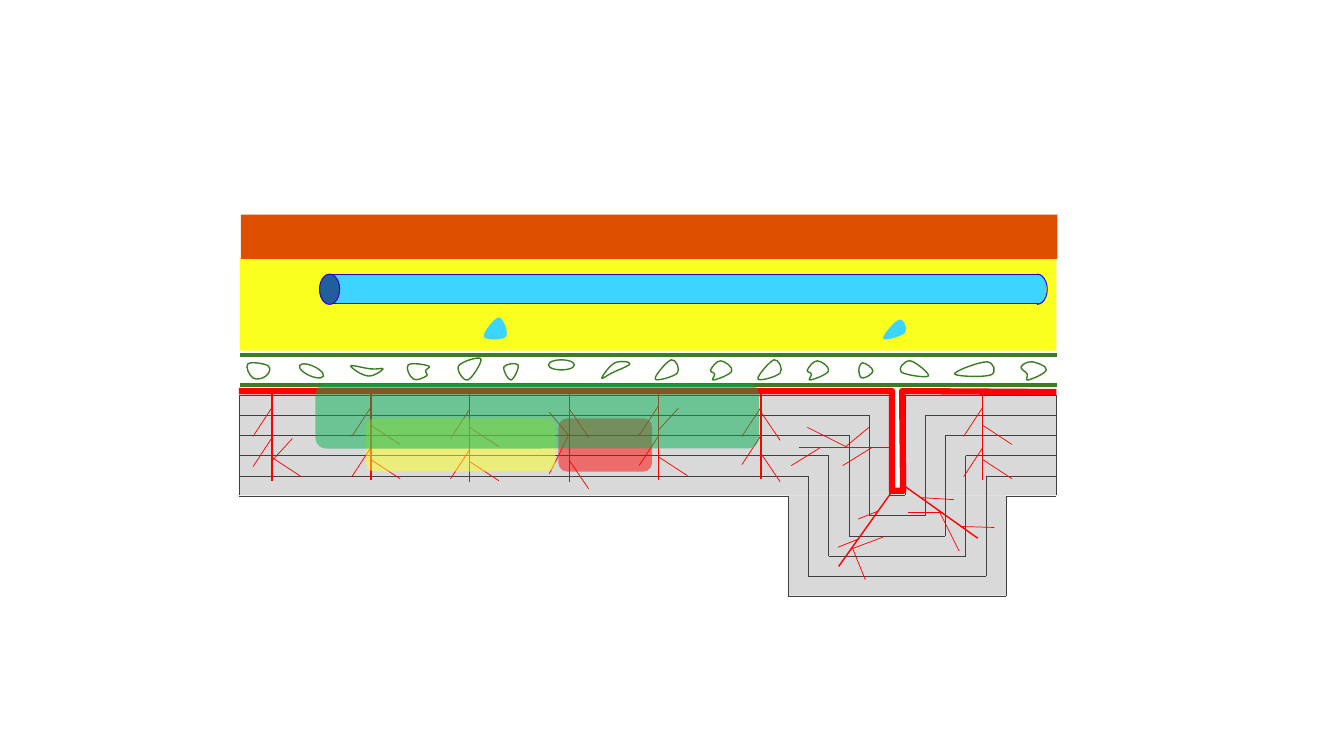
from lxml.etree import SubElement
from pptx import Presentation
from pptx.dml.color import RGBColor
from pptx.enum.shapes import MSO_CONNECTOR, MSO_SHAPE
from pptx.oxml.ns import qn
from pptx.util import Pt

POINTS_PER_UNIT = 0.72
GREY, DARK, RED, GREEN = "D9D9D9", "404040", "FF0000", "3B7D23"
YELLOW, WATER, NAVY = "FBFF1F", "3DD5FF", "2F00DD"

RIGHT, LEFT, STEEP, UP, SIDE = (29, 19), (-19, 29), (19, 28), (20, -22), (-33, 0)
UPRIGHT = {69: RIGHT, 35: RIGHT, 57: LEFT, 17: LEFT}
DOWN = (0, 89)
CRACKS = [
    (738, -5, DOWN, UPRIGHT),
    (518, -6, DOWN, {46: LEFT, 18: LEFT, 64: STEEP, 23: STEEP}),
    (33, -4, DOWN, {66: RIGHT, 69: UP, 16: LEFT, 46: LEFT}),
    (645, 52, (-89, 0), {41: (-40, -20), 44: (24, -20), 17: (-29, 18), 68: (-29, 18)}),
    (647, 97, (-52, 73), {66: (13, 32), 68: (32, -12), 22: (-20, 8), 56: (-20, 8)}),
    (131, -5, DOWN, UPRIGHT),
    (416, -5, DOWN, {66: RIGHT, 40: UP, 16: LEFT, 46: LEFT}),
    (328, -3, DOWN, {41: (-20, 40), 44: (-20, -24), 17: STEEP, 68: STEEP}),
    (660, 90, (73, 52), {42: (20, 40), 45: SIDE, 20: (33, 2), 69: (33, 1)}),
    (229, -3, DOWN, UPRIGHT),
]

ROUND = [(16, 5), (0, 24), (22, 18)]
TRIANGLE = [(14, 10), (0, 12), (7, 25)]
NOTCHED = [(22, 16), (11, 6), (1, 15), (5, 19), (4, 25)]
PEBBLES = {
    514: ROUND,
    412: ROUND,
    262: TRIANGLE,
    109: [(33, 14), (21, 14), (1, 11), (18, 21)],
    612: [(6, 8), (16, 16), (6, 23), (2, 16)],
    709: [(36, 20), (32, 7), (0, 19)],
    655: [(28, 21), (10, 6), (1, 17)],
    217: [(0, 11), (9, 25), (22, 4)],
    8: [(0, 9), (5, 23), (18, 21), (20, 11)],
    167: [(0, 10), (5, 24), (18, 21), (17, 16), (20, 11)],
    359: [(0, 23), (10, 18), (28, 9), (13, 8)],
    466: NOTCHED,
    562: NOTCHED,
    774: [(26, 15), (12, 7), (1, 12), (7, 19), (8, 25)],
}
DROPS = {638: (56, ROUND), 242: (56, [(15, 3), (0, 22), (22, 22)])}


def pt(units):
    return Pt(units * POINTS_PER_UNIT)


def rgb(hex_color):
    return RGBColor.from_string(hex_color)


def style(sp, fill=None, line=None, width=1):
    sp.shadow.inherit = False
    if fill:
        sp.fill.solid()
        sp.fill.fore_color.rgb = rgb(fill)
    else:
        sp.fill.background()
    if line:
        sp.line.color.rgb = rgb(line)
        sp.line.width = Pt(width)
    else:
        sp.line.fill.background()
    return sp


def add_preset(shapes, kind, x, y, w, h, **look):
    return style(shapes.add_shape(kind, pt(x), pt(y), pt(w), pt(h)), **look)


def add_line(shapes, x1, y1, x2, y2, color, width):
    line = shapes.add_connector(MSO_CONNECTOR.STRAIGHT, pt(x1), pt(y1), pt(x2), pt(y2))
    line.line.color.rgb = rgb(color)
    line.line.width = Pt(width)
    SubElement(line._element.spPr, qn("a:effectLst"))


def add_outline(shapes, x, y, points, close, **look):
    placed = [(pt(x + dx), pt(y + dy)) for dx, dy in points]
    builder = shapes.build_freeform(*placed[0])
    builder.add_line_segments(placed[1:], close=close)
    return style(builder.convert_to_shape(), **look)


def smooth_loop(anchors):
    loop = [anchors[0]]
    n = len(anchors)
    for i in range(n):
        before, start, end, after = (anchors[(i + k) % n] for k in (-1, 0, 1, 2))
        loop.append(tuple(s + (e - b) / 5 for b, s, e in zip(before, start, end)))
        loop.append(tuple(e - (a - s) / 5 for s, e, a in zip(start, end, after)))
        loop.append(end)
    return loop


def add_blob(shapes, x, y, anchors, **look):
    sp = add_outline(shapes, x, y, smooth_loop(anchors), True, **look)
    outline = sp._element.find(".//" + qn("a:path"))
    segments = outline.findall(qn("a:lnTo"))
    for i in range(0, len(segments), 3):
        curve = SubElement(outline, qn("a:cubicBezTo"))
        segments[i].addprevious(curve)
        for segment in segments[i:i + 3]:
            curve.append(segment[0])
            outline.remove(segment)


def add_slab(shapes, x, y, w, h):
    wall_left, wall_right, step = x + 645, x + 661, 20
    drop = 5 * step
    for rx, ry, rw in ((x, y, 645), (wall_right, y, w - 661),
                       (wall_left - drop, y + h, wall_right - wall_left + 2 * drop)):
        add_preset(shapes, MSO_SHAPE.RECTANGLE, rx, ry, rw, h, fill=GREY)
    for d in range(0, drop + 1, step):
        left, right, top, bottom = wall_left - d, wall_right + d, y + d, y + h + d
        for ends in ((x, top, left, top), (right, top, x + w, top),
                     (left, top, left, bottom), (right, top, right, bottom),
                     (left, bottom, right, bottom)):
            add_line(shapes, *ends, DARK, 0.25)
    for edge in (x, x + w):
        add_line(shapes, edge, y, edge, y + h, DARK, 0.25)


def add_cracks(shapes, x, y, w):
    film = [(0, -4), (648, -4), (648, 95), (659, 95), (658, -4), (w, -3)]
    add_outline(shapes, x, y, film, False, line=RED, width=4.5)
    for dx, dy, (stem_x, stem_y), branches in CRACKS:
        left, top = x + dx, y + dy
        add_line(shapes, left, top, left + stem_x, top + stem_y, RED, 1)
        for foot, (run, rise) in branches.items():
            foot_x = left + stem_x * foot / DOWN[1]
            foot_y = top + stem_y * foot / DOWN[1]
            add_line(shapes, foot_x, foot_y, foot_x + run, foot_y + rise, RED, 0.5)


def add_gravel(shapes, x, y, w, h):
    for edge in (y + h, y):
        add_line(shapes, x, edge, x + w, edge, GREEN, 3)
    for dx, dy, turn in ((306, 5, 0), (58, 11, 24)):
        sp = add_preset(shapes, MSO_SHAPE.OVAL, x + dx, y + dy, 26, 10, line=GREEN)
        sp.rotation = turn
    for dx, anchors in PEBBLES.items():
        add_blob(shapes, x + dx, y, anchors, line=GREEN)


def add_pipe_layer(shapes, x, y, w, h):
    add_preset(shapes, MSO_SHAPE.RECTANGLE, x, y, w, h, fill=YELLOW)
    pipe = y + 16
    rim = {"line": NAVY, "width": 0.75}
    add_preset(shapes, MSO_SHAPE.RECTANGLE, x + 88, pipe, 705, 29, fill=WATER, **rim)
    add_preset(shapes, MSO_SHAPE.OVAL, x + 79, pipe, 20, 30, fill="215F9A", **rim)
    add_preset(shapes, MSO_SHAPE.OVAL, x + 787, pipe, 13, 29, fill=WATER)
    arc = add_preset(shapes, MSO_SHAPE.ARC, x + 781, pipe, 20, 30, **rim)
    arc.adjustments[0] = 162
    arc.adjustments[1] = 54.38
    for dx, (dy, anchors) in DROPS.items():
        add_blob(shapes, x + dx, y + dy, anchors, fill=WATER)


def add_zones(shapes, x, y):
    for dx, dy, w, h, color in ((241, 34, 93, 53, RED), (50, 34, 188, 53, YELLOW),
                                (0, 0, 440, 64, "00B050")):
        sp = add_preset(shapes, MSO_SHAPE.ROUNDED_RECTANGLE, x + dx, y + dy, w, h, fill=color)
        fill = sp._element.spPr.find(qn("a:solidFill"))
        SubElement(fill[0], qn("a:alpha"), val="50000")


def main():
    prs = Presentation()
    prs.slide_width, prs.slide_height = Pt(960), Pt(540)
    slide = prs.slides.add_slide(prs.slide_layouts[6])
    shapes = slide.shapes.add_group_shape().shapes
    add_slab(shapes, 237, 392, 811, 99.5)
    add_cracks(shapes, 237, 392, 811)
    add_gravel(shapes, 238, 352, 811, 30)
    add_pipe_layer(shapes, 238, 256, 810, 92)
    add_preset(shapes, MSO_SHAPE.RECTANGLE, 239, 213, 810, 44, fill="DE5000")
    add_zones(shapes, 313, 381)
    prs.save("out.pptx")


if __name__ == "__main__":
    main()
